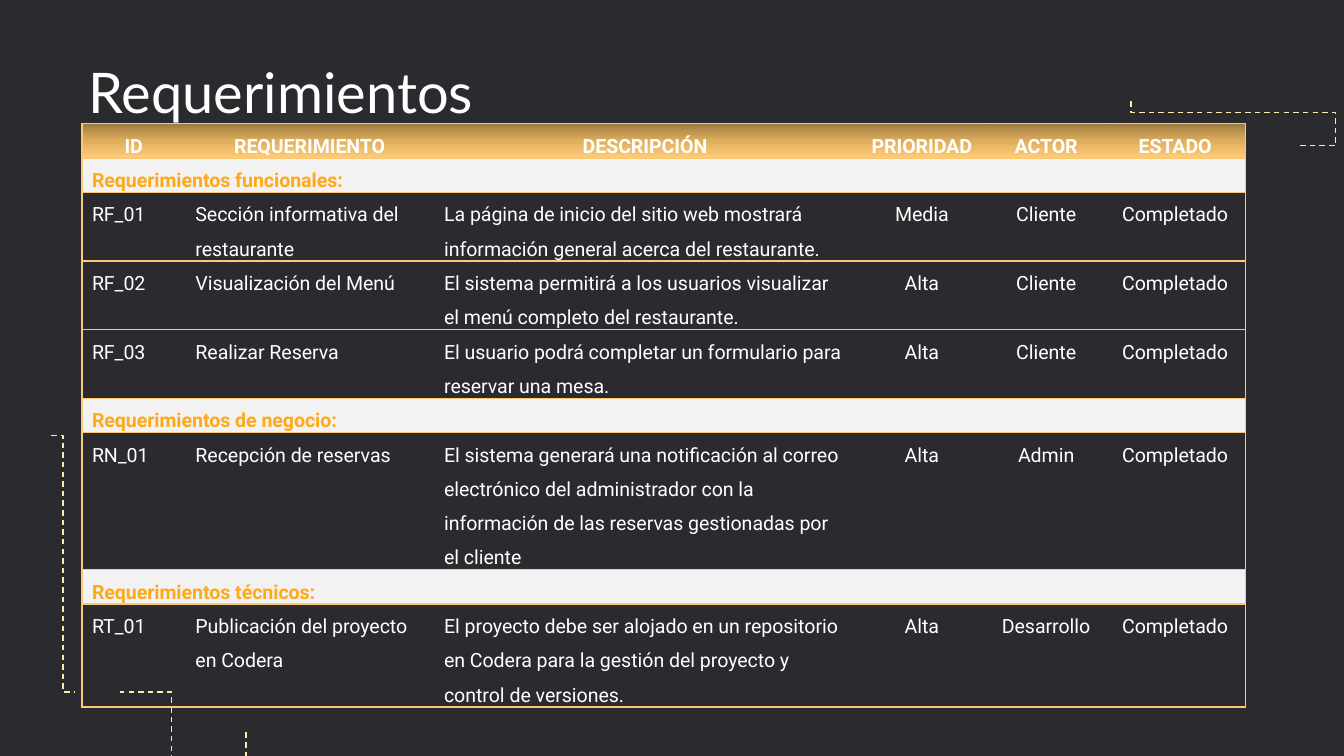
from dataclasses import dataclass

from lxml import etree
from pptx import Presentation
from pptx import util as u
from pptx.dml.color import RGBColor
from pptx.enum import dml, shapes, text
from pptx.oxml import parse_xml
from pptx.oxml.ns import nsdecls, qn


@dataclass(frozen=True)
class Theme:
    background: str = "2B2B2F"
    white: str = "FFFFFF"
    section_text: str = "FFA91A"
    section_fill: str = "F2F2F2"
    border: str = "FDC872"
    dashes: str = "FBEEA8"
    header_stops: tuple = ((0, "9D7A41"), (50, "DFAE5D"), (100, "FFCC78"))
    title_font: str = "Lato"
    table_font: str = "Roboto"
    title_size: float = 30
    table_size: float = 10.5
    line_width: float = 0.75


theme = Theme()


def format_runs(paragraph, font_name, size, color, bold=False):
    for run in paragraph.runs:
        run.font.name = font_name
        run.font.size = u.Pt(size)
        run.font.bold = bold
        run.font.color.rgb = RGBColor.from_string(color)


def add_borders(cell, sides):
    """Draw the given sides (a string of L, R, T, B in that order)."""
    properties = cell._tc.get_or_add_tcPr()
    for side in sides:
        properties.append(parse_xml(
            f'<a:ln{side} {nsdecls("a")} w="{u.Pt(theme.line_width)}"><a:solidFill>'
            f'<a:srgbClr val="{theme.border}"/></a:solidFill></a:ln{side}>'))


presentation = Presentation()
presentation.slide_width = u.Inches(10)
presentation.slide_height = u.Inches(10) * 9 // 16
slide = presentation.slides.add_slide(presentation.slide_layouts[5])
slide.background.fill.solid()
slide.background.fill.fore_color.rgb = RGBColor.from_string(theme.background)

# Title
title = slide.shapes.title
title.left, title.top = u.Inches(0.56), u.Inches(0.29)
title.width, title.height = u.Inches(4.2), u.Inches(0.74)
frame = title.text_frame
frame.text = "Requerimientos"
frame.auto_size = text.MSO_AUTO_SIZE.NONE
frame.vertical_anchor = text.MSO_ANCHOR.BOTTOM
frame.margin_left = frame.margin_right = u.Inches(0.1)
frame.margin_top = frame.margin_bottom = u.Inches(0.1)
frame.paragraphs[0].alignment = text.PP_ALIGN.LEFT
format_runs(frame.paragraphs[0], theme.title_font, theme.title_size, theme.white)

# Dashed bent lines: left, top, width, height, rotation, flipped, preset, bends
dashed_lines = [
    (0.38, 3.24, 0.18, 1.91, 0, False, "bentConnector3", [0.5]),
    (1.21, 4.83, 0.3, 0.94, 90, True, "bentConnector4", [-0.86, 0.59]),
    (8.88, 0.29, 0.33, 1.26, 270, True, "bentConnector4", [0.25, 1.21]),
]
for left, top, width, height, rotation, flipped, preset, bends in dashed_lines:
    line = slide.shapes.add_connector(
        shapes.MSO_CONNECTOR.ELBOW, u.Inches(left), u.Inches(top),
        u.Inches(left + width), u.Inches(top + height))
    line.line.color.rgb = RGBColor.from_string(theme.dashes)
    line.line.width = u.Pt(theme.line_width)
    line.line.dash_style = dml.MSO_LINE.DASH
    properties = line._element.spPr
    etree.SubElement(properties, qn("a:effectLst"))
    transform = properties.find(qn("a:xfrm"))
    transform.set("rot", str(rotation * 60000))
    if flipped:
        transform.set("flipH", "1")
    geometry = properties.find(qn("a:prstGeom"))
    geometry.set("prst", preset)
    guides = geometry.find(qn("a:avLst"))
    for number, bend in enumerate(bends, start=1):
        etree.SubElement(guides, qn("a:gd"), name=f"adj{number}",
                         fmla=f"val {round(bend * 100000)}")

# Requirements table: a row with one entry is a section heading
column_widths = [0.77, 1.85, 3.14, 0.98, 0.87, 1.05]
first_centered_column = 3
line_height = 0.25
rows = [
    (1, ["ID", "REQUERIMIENTO", "DESCRIPCIÓN", "PRIORIDAD", "ACTOR", "ESTADO"]),
    (1, ["Requerimientos funcionales:"]),
    (2, ["RF_01", "Sección informativa del restaurante",
         "La página de inicio del sitio web mostrará información general acerca "
         "del restaurante.", "Media", "Cliente", "Completado"]),
    (2, ["RF_02", "Visualización del Menú",
         "El sistema permitirá a los usuarios visualizar el menú completo del "
         "restaurante.", "Alta", "Cliente", "Completado"]),
    (2, ["RF_03", "Realizar Reserva",
         "El usuario podrá completar un formulario para reservar una mesa.",
         "Alta", "Cliente", "Completado"]),
    (1, ["Requerimientos de negocio:"]),
    (4, ["RN_01", "Recepción de reservas",
         "El sistema generará una notificación al correo electrónico del "
         "administrador con la información de las reservas gestionadas por el "
         "cliente", "Alta", "Admin", "Completado"]),
    (1, ["Requerimientos técnicos:"]),
    (3, ["RT_01", "Publicación del proyecto en Codera",
         "El proyecto debe ser alojado en un repositorio en Codera para la "
         "gestión del proyecto y control de versiones.",
         "Alta", "Desarrollo", "Completado"]),
]
last_column = len(column_widths) - 1
table_height = line_height * sum(lines for lines, _ in rows)
table_shape = slide.shapes.add_table(
    len(rows), len(column_widths), u.Inches(0.61), u.Inches(0.92),
    u.Inches(sum(column_widths)), u.Inches(table_height))
table = table_shape.table
table.first_row = table.horz_banding = False
no_style_no_grid = "{2D5ABB26-0587-4C30-8999-92F81FD0307C}"
table._tbl.tblPr.find(qn("a:tableStyleId")).text = no_style_no_grid
for column, width in zip(table.columns, column_widths):
    column.width = u.Inches(width)

gradient_stops = "".join(
    f'<a:gs pos="{position * 1000}"><a:srgbClr val="{color}"/></a:gs>'
    for position, color in theme.header_stops)
header_fill = (f'<a:gradFill {nsdecls("a")} rotWithShape="1"><a:gsLst>{gradient_stops}'
               '</a:gsLst><a:lin ang="5400000" scaled="0"/></a:gradFill>')

for row_index, (lines, entries) in enumerate(rows):
    table.rows[row_index].height = u.Inches(line_height * lines)
    is_header = row_index == 0
    is_section = len(entries) == 1
    if is_section:
        table.cell(row_index, 0).merge(table.cell(row_index, last_column))
    for column_index in range(len(column_widths)):
        cell = table.cell(row_index, column_index)
        cell.margin_left = cell.margin_right = u.Inches(0.075)
        cell.margin_top = cell.margin_bottom = 0
        at_left = column_index == 0
        at_right = column_index == last_column or is_section
        add_borders(cell, "L" * at_left + "R" * at_right + "TB")
        if is_header:
            cell._tc.get_or_add_tcPr().append(parse_xml(header_fill))
        elif is_section:
            cell.fill.solid()
            cell.fill.fore_color.rgb = RGBColor.from_string(theme.section_fill)
        else:
            cell.fill.background()
        if column_index >= len(entries):
            continue
        paragraph = cell.text_frame.paragraphs[0]
        paragraph.text = entries[column_index]
        paragraph.line_spacing = 1.5
        if is_header:
            paragraph.space_before = u.Pt(5)
        if is_header or column_index >= first_centered_column:
            paragraph.alignment = text.PP_ALIGN.CENTER
        format_runs(paragraph, theme.table_font, theme.table_size,
                    theme.section_text if is_section else theme.white,
                    bold=is_header or is_section)

presentation.save("out.pptx")
